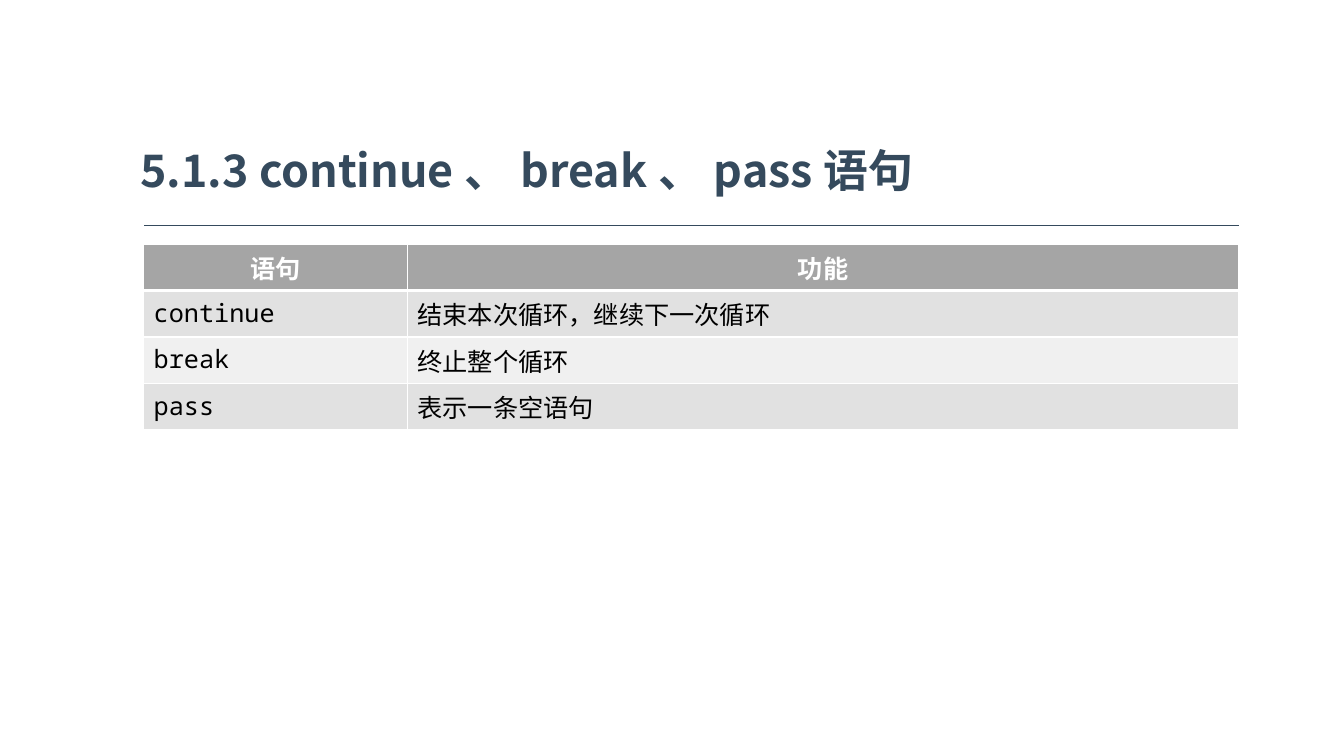
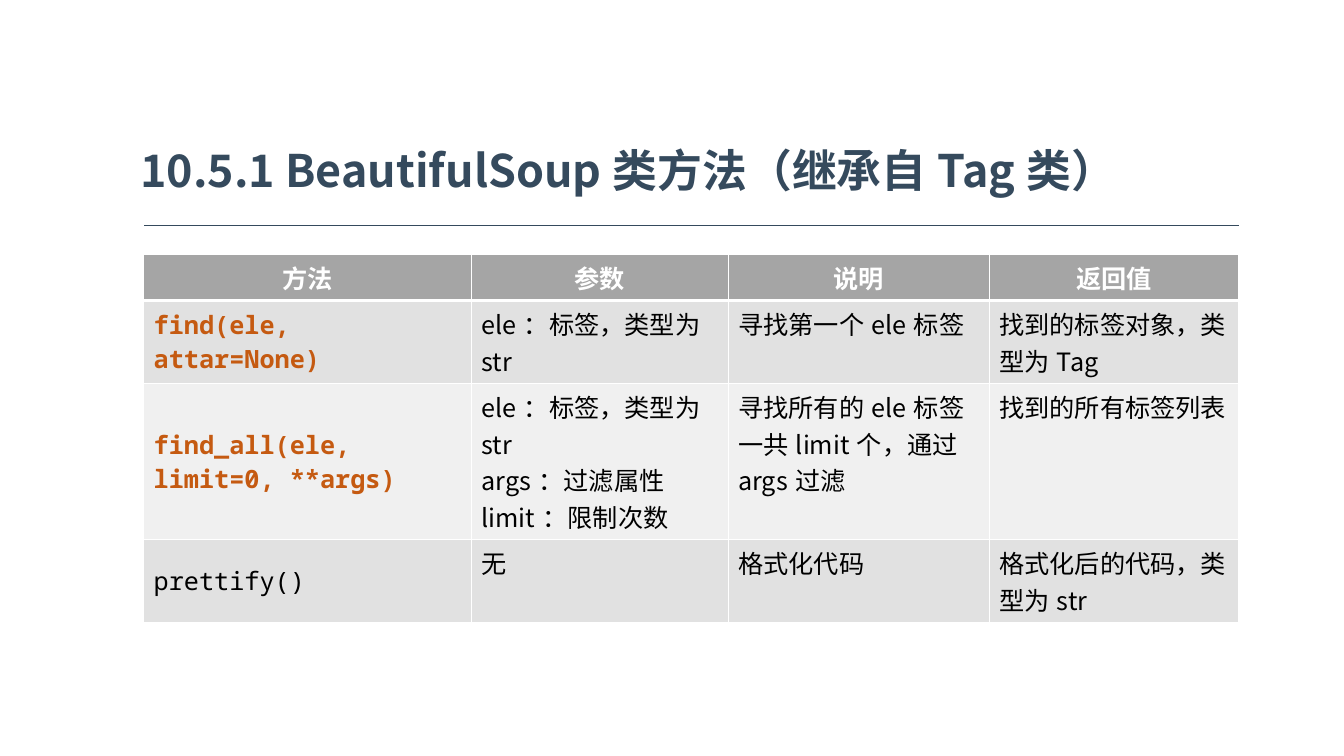
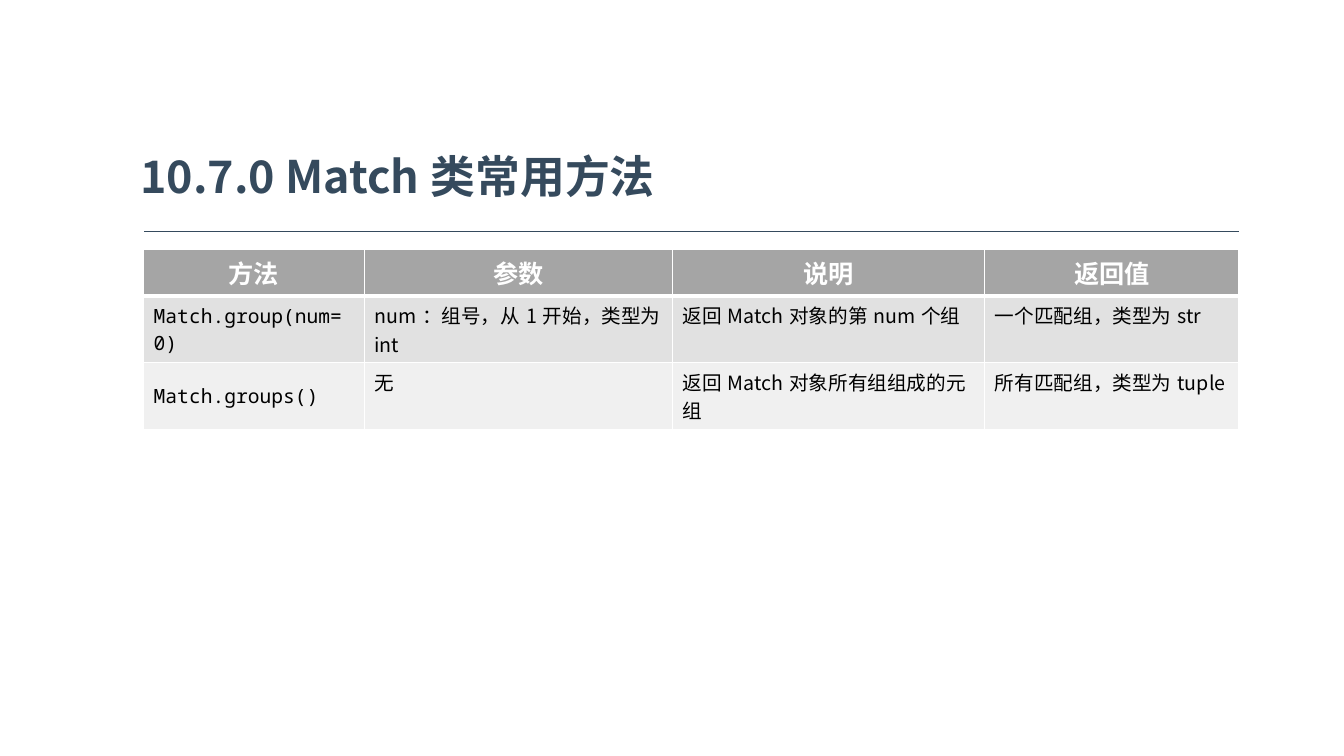
from lxml import etree
from pptx import Presentation
from pptx.dml.color import RGBColor
from pptx.enum.shapes import MSO_CONNECTOR
from pptx.enum.text import MSO_ANCHOR, PP_ALIGN
from pptx.oxml.ns import qn
from pptx.util import Cm, Pt

SANS, MONO = "Noto Sans CJK SC", "Noto Sans Mono"
NAVY = RGBColor(0x35, 0x4A, 0x5D)
ORANGE = RGBColor(0xC5, 0x5A, 0x11)
BLACK = RGBColor(0, 0, 0)
WHITE = RGBColor(0xFF, 0xFF, 0xFF)
HEADER_GREY = RGBColor(0xA5, 0xA5, 0xA5)
BAND_GREYS = (RGBColor(0xE1, 0xE1, 0xE1), RGBColor(0xF0, 0xF0, 0xF0))

LEFT, WIDTH = 3.63, 27.6
TABLE_LEFT = 3.62
TITLE_LEFT, TITLE_WIDTH, TITLE_HEIGHT = 3.21, 27.9, 1.85
RULE_DROP = 2.33
HEADER_SIZE = 18
CELL_PADDING = 0.25
LINE_SPACING = 1.45

METHOD_HEADER = ("方法", "参数", "说明", "返回值")
HIGHLIGHTED = {"find(ele, attar=None)", "find_all(ele, limit=0, **args)"}

SLIDES = [
    {
        "title": "5.1.3 continue、break、pass语句",
        "title_top": 3.36,
        "table_top": 6.15,
        "columns": (6.65, 20.95),
        "size": 18,
        "code_anchor": MSO_ANCHOR.TOP,
        "line_counts": (1, 1, 1, 1),
        "rows": [
            ("语句", "功能"),
            ("continue", "结束本次循环，继续下一次循环"),
            ("break", "终止整个循环"),
            ("pass", "表示一条空语句"),
        ],
    },
    {
        "title": "10.5.1 BeautifulSoup类方法（继承自Tag类）",
        "title_top": 3.36,
        "table_top": 6.4,
        "columns": (8.26, 6.47, 6.58, 6.29),
        "size": 18,
        "code_anchor": MSO_ANCHOR.MIDDLE,
        "line_counts": (1, 2, 4, 2),
        "rows": [
            METHOD_HEADER,
            ("find(ele, attar=None)", "ele：标签，类型为str",
             "寻找第一个ele标签", "找到的标签对象，类型为Tag"),
            ("find_all(ele, limit=0, **args)",
             "ele：标签，类型为str\nargs：过滤属性\nlimit：限制次数",
             "寻找所有的ele标签一共limit个，通过args过滤", "找到的所有标签列表"),
            ("prettify()", "无", "格式化代码", "格式化后的代码，类型为str"),
        ],
    },
    {
        "title": "10.7.0 Match类常用方法",
        "title_top": 3.5,
        "table_top": 6.28,
        "columns": (5.56, 7.77, 7.87, 6.4),
        "size": 14,
        "code_anchor": MSO_ANCHOR.MIDDLE,
        "line_counts": (1, 2, 2),
        "rows": [
            METHOD_HEADER,
            ("Match.group(num=0)", "num：组号，从1开始，类型为int",
             "返回Match对象的第num个组", "一个匹配组，类型为str"),
            ("Match.groups()", "无",
             "返回Match对象所有组组成的元组", "所有匹配组，类型为tuple"),
        ],
    },
]


def write_text(frame, text, size=18, color=BLACK, bold=False, font=SANS,
               align=PP_ALIGN.LEFT):
    """Fill a text frame, one paragraph for each line of text."""
    for index, line in enumerate(text.split("\n")):
        paragraph = frame.add_paragraph() if index else frame.paragraphs[0]
        paragraph.alignment = align
        run = paragraph.add_run()
        run.text = line
        run.font.size = Pt(size)
        run.font.bold = bold
        run.font.color.rgb = color
        run.font.name = font
        etree.SubElement(run.font._element, qn("a:ea"), typeface=font)


def add_title(slide, text, top):
    title = slide.shapes.add_textbox(Cm(TITLE_LEFT), Cm(top),
                                     Cm(TITLE_WIDTH), Cm(TITLE_HEIGHT))
    frame = title.text_frame
    frame.word_wrap = True
    frame.vertical_anchor = MSO_ANCHOR.MIDDLE
    frame.margin_left = frame.margin_right = Cm(0.33)
    frame.margin_top = frame.margin_bottom = Cm(0.18)
    write_text(frame, text, size=32, color=NAVY, bold=True)

    rule_y = Cm(top + RULE_DROP)
    rule = slide.shapes.add_connector(MSO_CONNECTOR.STRAIGHT, Cm(LEFT), rule_y,
                                      Cm(LEFT + WIDTH), rule_y)
    rule.line.color.rgb = NAVY
    rule.line.width = Pt(0.5)
    etree.SubElement(rule._element.spPr, qn("a:effectLst"))


def set_borders(cell, **widths):
    """Draw white borders; keywords L, R, T and B give widths in points."""
    properties = cell._tc.get_or_add_tcPr()
    for side, width in widths.items():
        border = etree.SubElement(properties, qn(f"a:ln{side}"), w=str(Pt(width)))
        fill = etree.SubElement(border, qn("a:solidFill"))
        etree.SubElement(fill, qn("a:srgbClr"), val=str(WHITE))


def fill_cell(cell, color):
    cell.fill.solid()
    cell.fill.fore_color.rgb = color


def row_height(line_count, size):
    """Height that holds the lines of a row and its cell margins."""
    return Cm(CELL_PADDING) + int(line_count * LINE_SPACING * Pt(size))


def add_table(slide, rows, columns, line_counts, top, size, code_anchor):
    heights = [row_height(count, size if r else HEADER_SIZE)
               for r, count in enumerate(line_counts)]
    table = slide.shapes.add_table(len(rows), len(columns), Cm(TABLE_LEFT),
                                   Cm(top), Cm(WIDTH), sum(heights)).table
    for column, width in zip(table.columns, columns):
        column.width = Cm(width)
    for r, row in enumerate(rows):
        table.rows[r].height = heights[r]
        for c, text in enumerate(row):
            cell = table.cell(r, c)
            if r == 0:
                set_borders(cell, L=1, R=1, T=1, B=3)
                fill_cell(cell, HEADER_GREY)
                write_text(cell.text_frame, text, size=HEADER_SIZE, color=WHITE,
                           bold=True, align=PP_ALIGN.CENTER)
                continue
            set_borders(cell, L=1, R=1, T=3 if r == 1 else 1, B=1)
            fill_cell(cell, BAND_GREYS[(r - 1) % 2])
            if c == 0:
                cell.vertical_anchor = code_anchor
            highlighted = text in HIGHLIGHTED
            write_text(cell.text_frame, text, size=size, bold=highlighted,
                       color=ORANGE if highlighted else BLACK,
                       font=SANS if c else MONO)


def main():
    deck = Presentation()
    deck.slide_width, deck.slide_height = Cm(33.87), Cm(19.05)
    for content in SLIDES:
        slide = deck.slides.add_slide(deck.slide_layouts[6])
        add_title(slide, content["title"], content["title_top"])
        add_table(slide, content["rows"], content["columns"],
                  content["line_counts"], content["table_top"],
                  content["size"], content["code_anchor"])
    deck.save("out.pptx")


if __name__ == "__main__":
    main()
